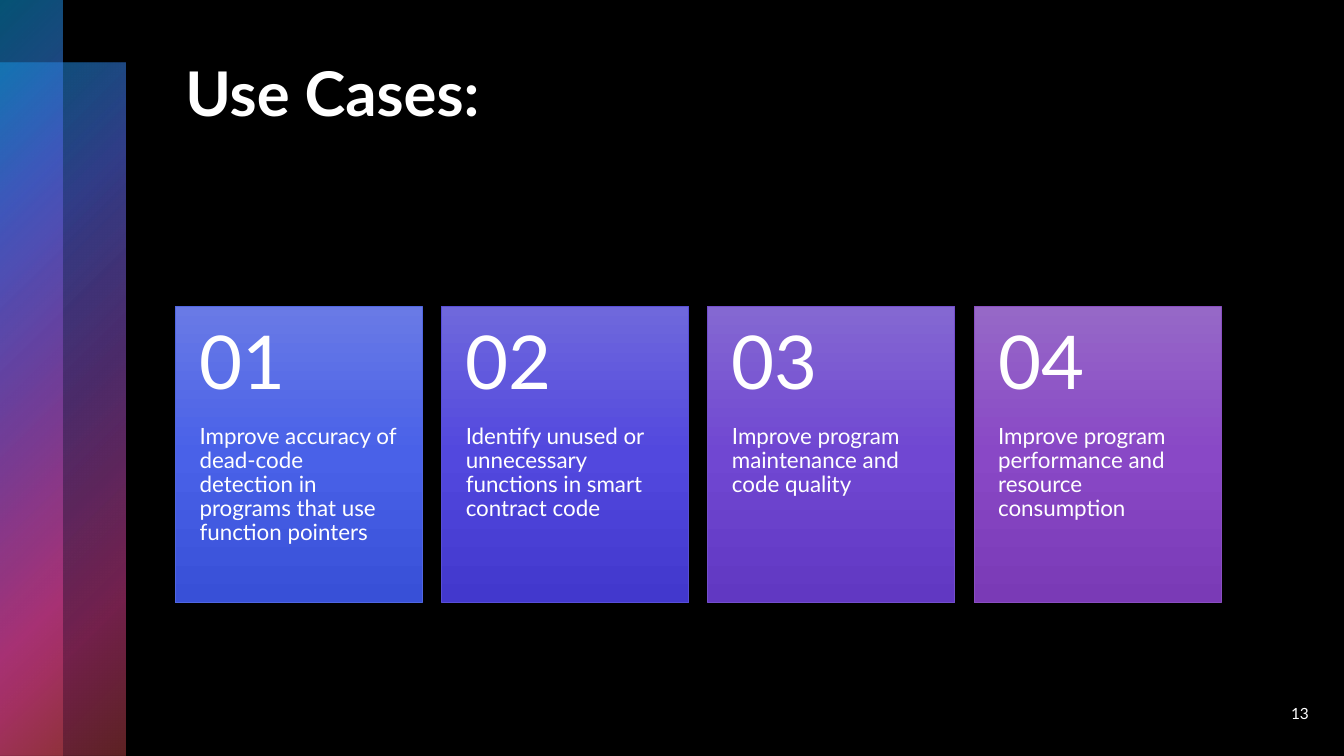
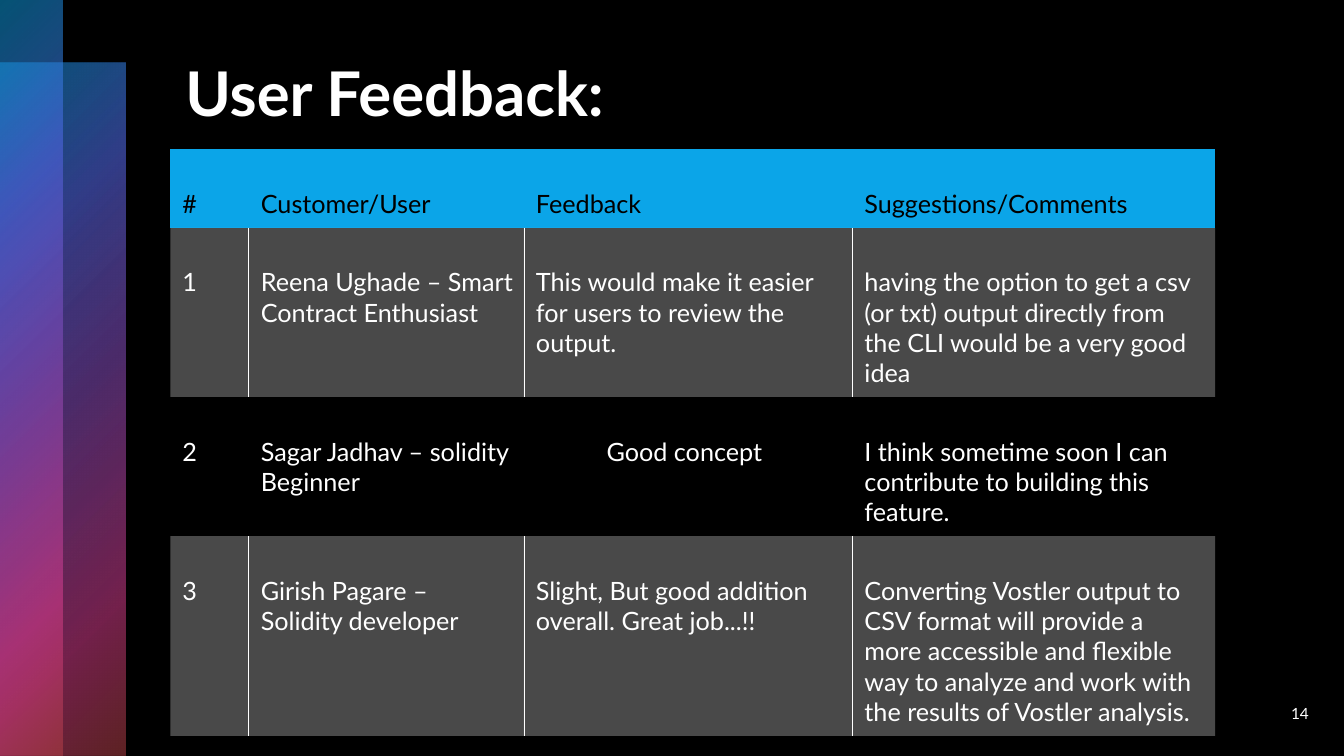
from collections import namedtuple
from pptx import Presentation
from pptx.dml.color import RGBColor
from pptx.enum.shapes import MSO_SHAPE
from pptx.enum.text import MSO_ANCHOR, PP_ALIGN
from pptx.oxml import parse_xml
from pptx.oxml.ns import nsdecls, qn
from pptx.util import Inches, Pt

Box = namedtuple("Box", "left top width height")
PAGE = Box(0, 0, 13.33, 7.5)
FONT = "Lato"
BLACK = RGBColor(0, 0, 0)
WHITE = RGBColor(255, 255, 255)
SKY = RGBColor(0x0B, 0xA5, 0xE8)
BLUE = RGBColor(0x50, 0x66, 0xE1)
INDIGO = RGBColor(0x58, 0x4E, 0xD7)
VIOLET = RGBColor(0x73, 0x4E, 0xCC)
PURPLE = RGBColor(0x89, 0x4E, 0xC0)
PINK = RGBColor(0xE5, 0x41, 0x96)
RED = RGBColor(0xBE, 0x44, 0x49)
PALE = RGBColor(0xF2, 0xF2, 0xF2)

BAND = [(0, SKY, 50), (25, BLUE, 60), (50, PURPLE, 55), (81, PINK, 50), (99, RED, 50)]
RADIAL = '<a:path path="circle"><a:fillToRect r="100000" b="100000"/></a:path>'
DOWN = '<a:lin ang="5400000" scaled="0"/>'
PLAIN = "{2D5ABB26-0587-4C30-8999-92F81FD0307C}"

CARDS = [
    ("Improve accuracy of dead-code detection in programs that use function pointers",
     BLUE, ("697AE6", "4961E8", "3850D7")),
    ("Identify unused or unnecessary functions in smart contract code",
     INDIGO, ("6F68DC", "5248DE", "4238CD")),
    ("Improve program maintenance and code quality",
     VIOLET, ("8468D2", "7047D2", "6138C2")),
    ("Improve program performance and resource consumption",
     PURPLE, ("9668C7", "8948C6", "7A3AB6")),
]
ROWS = [
    ("#", "Customer/User", "Feedback", "Suggestions/Comments"),
    ("1", "Reena Ughade – Smart Contract Enthusiast",
     "This would make it easier for users to review the output.",
     "having the option to get a csv (or txt) output directly from the CLI "
     "would be a very good idea"),
    ("2", "Sagar Jadhav – solidity Beginner", "Good concept",
     "I think sometime soon I can contribute to building this feature."),
    ("3", "Girish Pagare – Solidity developer",
     "Slight, But good addition overall. Great job...!!",
     "Converting Vostler output to CSV format will provide a more accessible and "
     "flexible way to analyze and work with the results of Vostler analysis."),
]
COLS = (7.49, 26.29, 31.39, 34.65)
LINES = (1, 4, 3, 5)


def cut(box, left, top, width, height):
    return Box(box.left + box.width * left / 100, box.top + box.height * top / 100,
               box.width * width / 100, box.height * height / 100)


def place(box):
    return [Inches(side) for side in box]


def style(para, size, color=WHITE, bold=False):
    for run in para.runs:
        run.font.name = FONT
        run.font.size = Pt(size)
        run.font.bold = bold
        run.font.color.rgb = color


def label(slide, box, text, size, pads=(0.1, 0.05, 0.1, 0.05),
          anchor=MSO_ANCHOR.TOP, align=PP_ALIGN.LEFT, space=1.0, bold=False):
    frame = slide.shapes.add_textbox(*place(box)).text_frame
    frame.word_wrap = True
    frame.vertical_anchor = anchor
    (frame.margin_left, frame.margin_top,
     frame.margin_right, frame.margin_bottom) = map(Inches, pads)
    para = frame.paragraphs[0]
    para.text = text
    para.alignment = align
    para.line_spacing = space
    style(para, size, bold=bold)


def panel(slide, box, stops, flow, edge=None):
    shape = slide.shapes.add_shape(MSO_SHAPE.RECTANGLE, *place(box))
    shape.shadow.inherit = False
    shape.fill.background()
    marks = "".join(
        f'<a:gs pos="{pos * 1000}"><a:srgbClr val="{color}">'
        f'<a:alpha val="{alpha * 1000}"/></a:srgbClr></a:gs>'
        for pos, color, alpha in stops)
    grad = parse_xml(f'<a:gradFill {nsdecls("a")} rotWithShape="1">'
                     f'<a:gsLst>{marks}</a:gsLst>{flow}</a:gradFill>')
    props = shape._element.spPr
    props.replace(props.find(qn("a:noFill")), grad)
    if edge is None:
        shape.line.fill.background()
    else:
        shape.line.color.rgb = edge
        shape.line.width = Pt(0.5)


def base(deck, title, page):
    slide = deck.slides.add_slide(deck.slide_layouts[6])
    slide.background.fill.solid()
    slide.background.fill.fore_color.rgb = BLACK
    panel(slide, cut(PAGE, 0, 8.33, 9.3, 91.67), BAND, RADIAL)
    panel(slide, cut(PAGE, 0, 0, 4.65, 100), BAND, RADIAL)
    label(slide, cut(PAGE, 13.05, 6.67, 77.79, 12), title, 44, bold=True)
    label(slide, cut(PAGE, 91.45, 91.73, 6.68, 5.33), str(page), 11,
          anchor=MSO_ANCHOR.MIDDLE, align=PP_ALIGN.RIGHT)
    return slide


def card(slide, box, num, text, edge, tones):
    stops = [(50 * i, tone, 100) for i, tone in enumerate(tones)]
    panel(slide, box, stops, DOWN, edge)
    label(slide, cut(box, 0, 40, 100, 60), text, 16, (0.24, 0, 0.24, 0.36), space=0.9)
    label(slide, cut(box, 0, 0, 100, 40), f"{num:02}", 53, (0.24, 0.18, 0.24, 0.18),
          anchor=MSO_ANCHOR.MIDDLE, space=0.9)


def deal(slide, box):
    gap = 1.83
    width = (100 - gap * (len(CARDS) - 1)) / len(CARDS)
    for i, parts in enumerate(CARDS):
        card(slide, cut(box, i * (width + gap), 0, width, 100), i + 1, *parts)


def rule(cell, side):
    cell._tc.get_or_add_tcPr().insert(0, parse_xml(
        f'<a:{side} {nsdecls("a")} w="6350"><a:solidFill>'
        f'<a:srgbClr val="{WHITE}"/></a:solidFill></a:{side}>'))


def tint(cell, color, alpha=100):
    cell.fill.solid()
    cell.fill.fore_color.rgb = color
    tone = cell._tc.tcPr.find(qn("a:solidFill")).find(qn("a:srgbClr"))
    tone.append(parse_xml(f'<a:alpha {nsdecls("a")} val="{alpha * 1000}"/>'))


def fill(cell, text, row, col):
    cell.text_frame.text = text
    style(cell.text_frame.paragraphs[0], 18, WHITE if row else BLACK)
    cell.margin_left = Inches(0.82 if text == "Good concept" else 0.12)
    cell.margin_top = Inches(0.39)
    cell.margin_right = cell.margin_bottom = Inches(0.09)
    if row % 2:
        tint(cell, PALE, 30)
        if col < len(COLS) - 1:
            rule(cell, "lnR")
        if col:
            rule(cell, "lnL")
    else:
        tint(cell, BLACK if row else SKY)


def grid(slide, box):
    table = slide.shapes.add_table(len(ROWS), len(COLS), *place(box)).table
    table.first_row = table.horz_banding = False
    table._tbl.tblPr.find(qn("a:tableStyleId")).text = PLAIN
    for col, share in zip(table.columns, COLS):
        col.width = Inches(box.width * share / 100)
    for row, count in zip(table.rows, LINES):
        row.height = Inches(0.48 + 0.3 * count)
    for i, texts in enumerate(ROWS):
        for j, text in enumerate(texts):
            fill(table.cell(i, j), text, i, j)


def main():
    deck = Presentation()
    deck.slide_width = Inches(PAGE.width)
    deck.slide_height = Inches(PAGE.height)
    deal(base(deck, "Use Cases:", 13), cut(PAGE, 13.05, 40.53, 77.79, 39.2))
    grid(base(deck, "User Feedback:", 14), cut(PAGE, 12.68, 19.73, 77.87, 77.6))
    deck.save("out.pptx")


if __name__ == "__main__":
    main()
